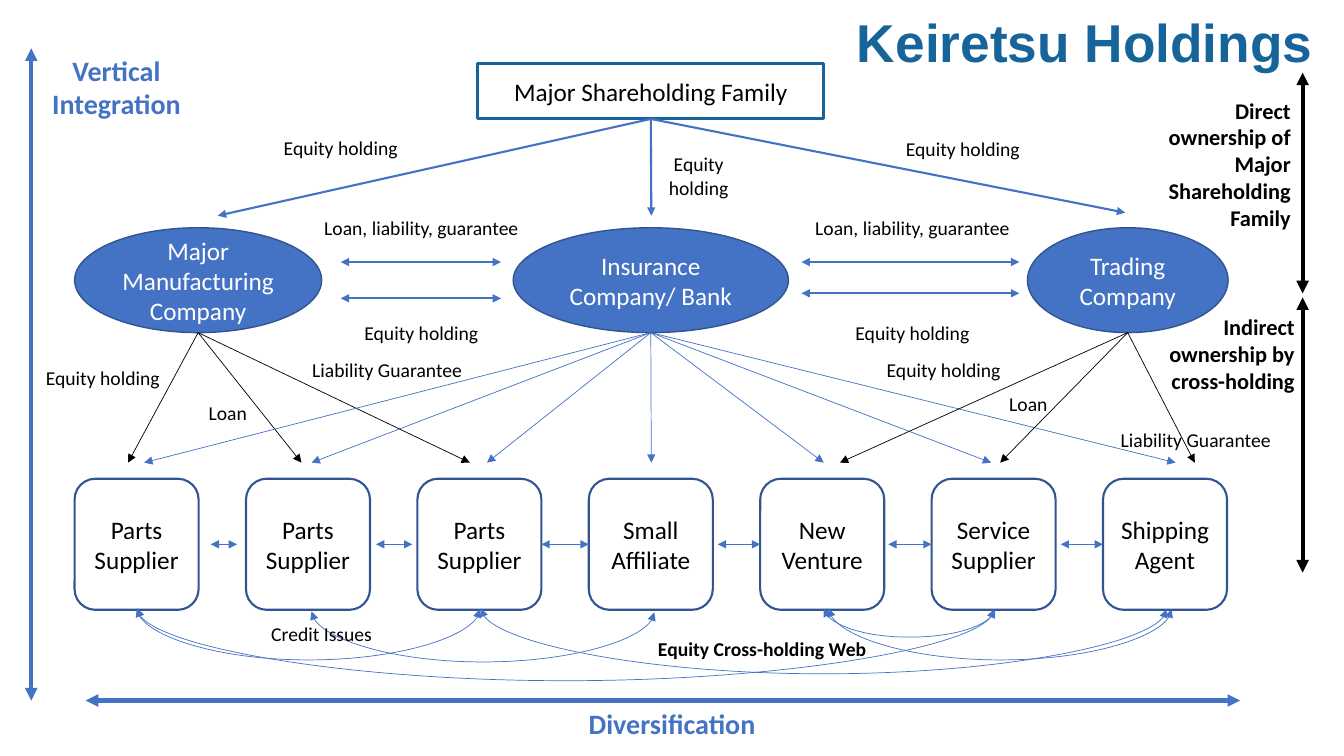
from collections import namedtuple

from lxml import etree
from pptx import Presentation
from pptx.dml.color import RGBColor
from pptx.enum.shapes import MSO_CONNECTOR, MSO_SHAPE
from pptx.enum.text import MSO_ANCHOR, PP_ALIGN
from pptx.oxml.ns import qn
from pptx.util import Inches, Pt

COLORS = {"blue": "4472C4", "outline": "325491", "teal": "16649A",
          "black": "000000", "white": "FFFFFF"}
LABEL_WIDTH, LABEL_HEIGHT = 3.43, 0.55
CURVE_RISE = 0.01


class Box(namedtuple("Box", "left top width height")):
    def at(self, dx, dy):
        """Point offset from the box's top left corner."""
        return self.left + dx, self.top + dy


def rgb(name):
    return RGBColor.from_string(COLORS[name])


def write(frame, text, size=18, color="black", bold=False, font="Calibri",
          align=PP_ALIGN.CENTER, anchor=MSO_ANCHOR.MIDDLE):
    frame.word_wrap = True
    frame.vertical_anchor = anchor
    frame.text = text
    for paragraph in frame.paragraphs:
        paragraph.alignment = align
        paragraph.font.size = Pt(size)
        paragraph.font.name = font
        paragraph.font.bold = bold
        paragraph.font.color.rgb = rgb(color)


def add_text(slide, box, text, **style):
    frame = slide.shapes.add_textbox(*map(Inches, box)).text_frame
    write(frame, text, **style)
    return frame


def add_label(slide, center, text, **style):
    box = Box(center[0] - LABEL_WIDTH / 2, center[1] - LABEL_HEIGHT / 2,
              LABEL_WIDTH, LABEL_HEIGHT)
    add_text(slide, box, text, size=14, **style)


def add_node(slide, kind, box, text, line="outline", weight=1.0, fill=None,
             color="black"):
    node = slide.shapes.add_shape(kind, *map(Inches, box))
    node.shadow.inherit = False
    if fill:
        node.fill.solid()
        node.fill.fore_color.rgb = rgb(fill)
    else:
        node.fill.background()
    node.line.color.rgb = rgb(line)
    node.line.width = Pt(weight)
    write(node.text_frame, text, color=color)
    return node


def add_arrow(slide, start, end, color="blue", weight=0.5, double=False,
              kind=MSO_CONNECTOR.STRAIGHT):
    arrow = slide.shapes.add_connector(kind, *map(Inches, (*start, *end)))
    arrow.line.color.rgb = rgb(color)
    arrow.line.width = Pt(weight)
    line_xml = arrow.line._get_or_add_ln()
    for tag in ("a:headEnd", "a:tailEnd") if double else ("a:tailEnd",):
        etree.SubElement(line_xml, qn(tag), type="triangle")
    etree.SubElement(arrow._element.spPr, qn("a:effectLst"))
    return arrow


def add_sagging_arrow(slide, start, span, sag):
    """Double arrow hanging down between two points on one level."""
    x, y = start[0] + span / 2, start[1]
    arrow = add_arrow(slide, (x + CURVE_RISE / 2, y - span / 2),
                      (x - CURVE_RISE / 2, y + span / 2),
                      double=True, kind=MSO_CONNECTOR.CURVE)
    properties = arrow._element.spPr
    properties.find(qn("a:xfrm")).set("rot", str(270 * 60000))
    guides = properties.find(qn("a:prstGeom")).find(qn("a:avLst"))
    etree.SubElement(guides, qn("a:gd"), name="adj1",
                     fmla=f"val {round(sag / CURVE_RISE * 100000)}")


def draw_title(slide, box):
    frame = add_text(slide, box, "Keiretsu Holdings", size=38, bold=True,
                     color="teal", font="Arial", anchor=MSO_ANCHOR.TOP)
    frame.margin_left = frame.margin_right = frame.margin_bottom = 0
    frame.margin_top = Inches(0.02)


def draw_family(slide, box):
    family = add_node(slide, MSO_SHAPE.RECTANGLE, box,
                      "Major Shareholding Family", line="teal", weight=2)
    bottom = box.at(box.width / 2, box.height)
    for dx, dy in ((-2.58, 1.51), (1.72, 1.51), (6.42, 1.48)):
        holding = add_arrow(slide, bottom, box.at(dx, dy), weight=1.5)
        holding.begin_connect(family, 2)
    for dx, dy, text in ((-1.36, 0.83, "Equity holding"),
                         (2.19, 1.11, "Equity\nholding"),
                         (4.81, 0.84, "Equity holding")):
        add_label(slide, box.at(dx, dy), text)


def draw_companies(slide, box):
    """Three core companies, their mutual ties and links to affiliates."""
    companies = (
        (0, 2.45, "Major\nManufacturing Company", "black", (0.53, 2.25, 3.92)),
        (4.35, 2.73, "Insurance Company/ Bank", "blue",
         (0.69, 2.35, 4.09, 5.72, 7.43, 9.09, 10.92)),
        (9.45, 1.99, "Trading Company", "black", (7.59, 9.18, 11.11)))
    for dx, width, name, link_color, targets in companies:
        add_node(slide, MSO_SHAPE.OVAL, Box(*box.at(dx, 0), width, box.height),
                 name, fill="blue", color="white")
        for target in targets:
            add_arrow(slide, box.at(dx + width / 2, box.height),
                      box.at(target, 2.33), color=link_color)

    for start, end, lower, label_x in ((2.64, 4.23, 0.7, 3.44),
                                       (7.21, 9.37, 0.65, 8.31)):
        for dy in (0.34, lower):
            add_arrow(slide, box.at(start, dy), box.at(end, dy),
                      weight=1.5, double=True)
        add_label(slide, box.at(label_x, 0), "Loan, liability, guarantee")
        add_label(slide, box.at(label_x, 1.04), "Equity holding")

    for dx, dy, text in ((0.28, 1.49, "Equity holding"), (1.52, 1.83, "Loan"),
                         (3.1, 1.41, "Liability Guarantee"),
                         (8.62, 1.41, "Equity holding"), (9.46, 1.74, "Loan"),
                         (11.12, 2.1, "Liability Guarantee")):
        add_label(slide, box.at(dx, dy), text)


def draw_affiliates(slide, box):
    names = ("Parts Supplier", "Parts Supplier", "Parts Supplier",
             "Small Affiliate", "New Venture", "Service Supplier",
             "Shipping Agent")
    width = 1.23
    pitch = (box.width - width) / (len(names) - 1)
    affiliates = [add_node(slide, MSO_SHAPE.ROUNDED_RECTANGLE,
                           Box(*box.at(i * pitch, 0), width, box.height),
                           name, weight=1.5)
                  for i, name in enumerate(names)]
    ties = ((1.35, 1.61), (2.99, 3.35), (4.65, 5.07),
            (6.38, 6.8), (8.07, 8.5), (9.78, 10.2))
    middle = box.height / 2
    for i, (start, end) in enumerate(ties):
        tie = add_arrow(slide, box.at(start, middle), box.at(end, middle),
                        double=True)
        if abs(start - i * pitch - width) < 0.03:
            tie.begin_connect(affiliates[i], 3)
        if abs(end - (i + 1) * pitch) < 0.03:
            tie.end_connect(affiliates[i + 1], 1)


def draw_cross_holdings(slide, box):
    for dx, dy, span, sag in ((0, 0, 3.4, 0.52), (1.73, 0.03, 3.4, 0.51),
                              (6.86, 0, 3.4, 0.52), (6.81, 0, 1.7, 0.29),
                              (0, 0, 8.5, 0.73), (3.41, 0, 6.8, 0.66)):
        add_sagging_arrow(slide, box.at(dx, dy), span, sag)
    add_label(slide, box.at(1.83, 0.25), "Credit Issues")
    add_label(slide, box.at(6.2, 0.4), "Equity Cross-holding Web", bold=True)


def draw_axes(slide, box):
    add_arrow(slide, box.at(0, box.height), box.at(0, 0), weight=3, double=True)
    add_arrow(slide, box.at(0.54, box.height), box.at(box.width, box.height),
              weight=3, double=True)
    for area, text in (
            (Box(*box.at(-0.25, 0), 2.19, 0.77), "Vertical Integration"),
            (Box(*box.at(4.28, box.height + 0.01), 4.15, 0.44),
             "Diversification")):
        add_text(slide, area, text, size=20, color="blue", bold=True,
                 anchor=MSO_ANCHOR.TOP)


def draw_ownership(slide, box, text, text_offset, text_height):
    """Vertical range arrow on the box's right edge with its caption."""
    add_arrow(slide, box.at(box.width, 0), box.at(box.width, box.height),
              color="black", weight=3, double=True)
    add_text(slide, Box(*box.at(*text_offset), 1.63, text_height), text,
             size=16, bold=True, align=PP_ALIGN.RIGHT, anchor=MSO_ANCHOR.TOP)


def main():
    presentation = Presentation()
    presentation.slide_width = Inches(13.33)
    presentation.slide_height = Inches(7.5)
    slide = presentation.slides.add_slide(presentation.slide_layouts[6])
    draw_family(slide, Box(4.74, 0.63, 3.43, 0.55))
    draw_companies(slide, Box(0.74, 2.26, 11.44, 1.04))
    draw_affiliates(slide, Box(0.74, 4.75, 11.43, 1.3))
    draw_cross_holdings(slide, Box(1.36, 6.04, 10.26, 0.73))
    draw_axes(slide, Box(0.31, 0.48, 11.99, 6.47))
    draw_ownership(slide, Box(11.27, 0.72, 1.65, 2.19),
                   "Direct ownership of Major Shareholding Family",
                   (0, 0.19), 1.45)
    draw_ownership(slide, Box(11.27, 2.95, 1.65, 2.73),
                   "Indirect ownership by cross-holding", (0.04, 0.11), 0.91)
    draw_title(slide, Box(7.72, 0.07, 6.08, 0.65))
    presentation.save("out.pptx")


if __name__ == "__main__":
    main()
